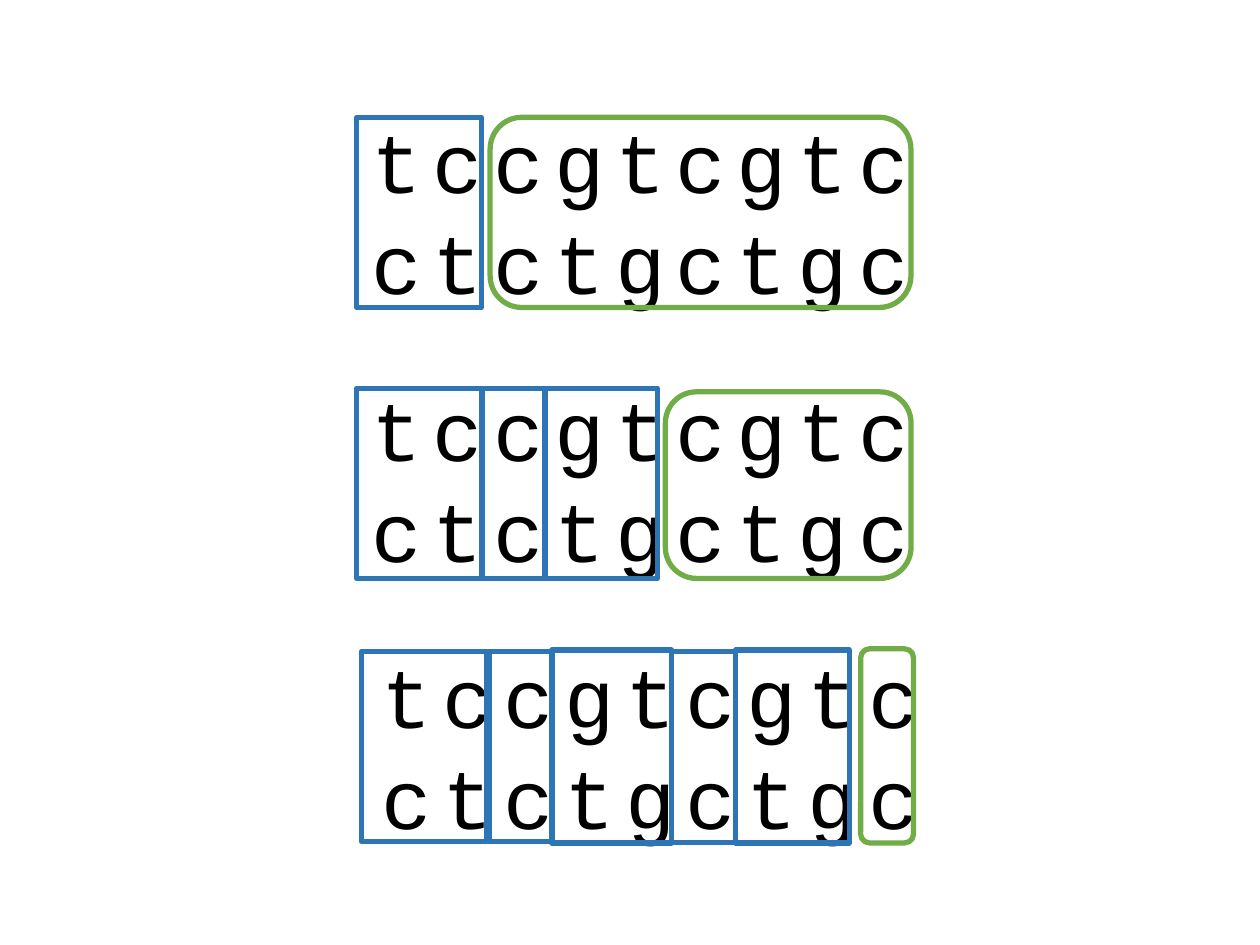
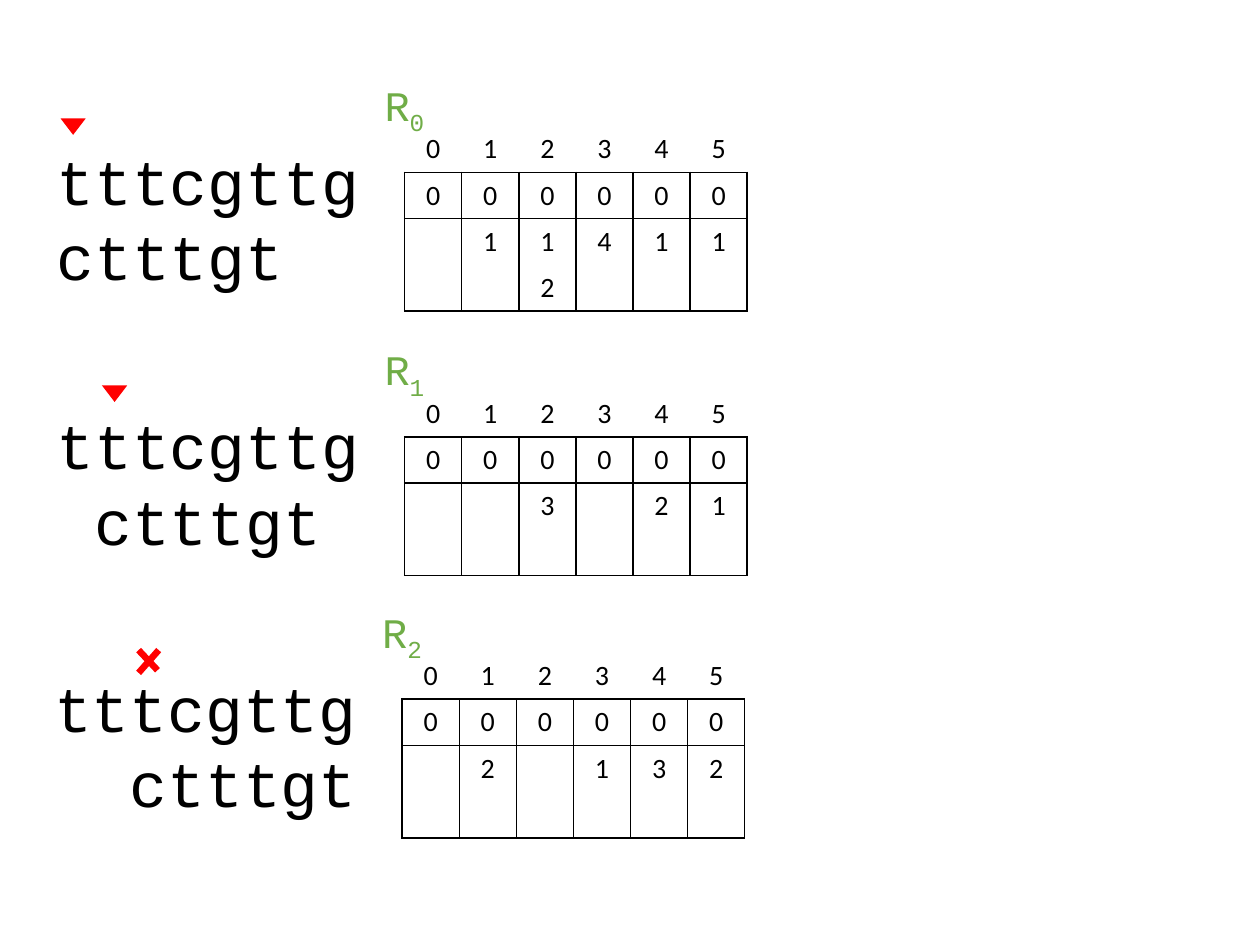
import pptx
import pptx.dml.color
import pptx.enum.shapes
import pptx.enum.text
import pptx.oxml
import pptx.oxml.ns
import pptx.util

Pt = pptx.util.Pt
RGBColor = pptx.dml.color.RGBColor
Shapes = pptx.enum.shapes.MSO_SHAPE
Align = pptx.enum.text.PP_ALIGN
qn = pptx.oxml.ns.qn

BLACK = RGBColor(0x00, 0x00, 0x00)
BLUE = RGBColor(0x2E, 0x75, 0xB6)
GREEN = RGBColor(0x70, 0xAD, 0x47)
RED = RGBColor(0xFF, 0x00, 0x00)
MONO = "Courier New"
NO_STYLE = "{2D5ABB26-0587-4C30-8999-92F81FD0307C}"


def add_run(paragraph, text, size, color, font=MONO):
    run = paragraph.add_run()
    run.text = text
    run.font.size = Pt(size)
    run.font.name = font
    run.font.color.rgb = color
    return run


def add_text(slide, left, top, width, height, lines, size, color, align):
    shape = slide.shapes.add_textbox(Pt(left), Pt(top), Pt(width), Pt(height))
    frame = shape.text_frame
    frame.word_wrap = False
    frame.auto_size = pptx.enum.text.MSO_AUTO_SIZE.SHAPE_TO_FIT_TEXT
    for index, line in enumerate(lines):
        paragraph = frame.add_paragraph() if index else frame.paragraphs[0]
        paragraph.alignment = align
        add_run(paragraph, line, size, color)
    return frame.paragraphs


presentation = pptx.Presentation()
presentation.slide_width = Pt(720)
presentation.slide_height = Pt(540)
blank_layout = presentation.slide_layouts[6]

# Slide 1: string pair split into blocks, step by step
slide = presentation.slides.add_slide(blank_layout)
for left, top in [(200.9, 59), (200.9, 212.4), (206.6, 365)]:
    for paragraph in add_text(slide, left, top, 330.5, 123.8, ["tccgtcgtc", "ctctgctgc"],
                              48, BLACK, Align.CENTER):
        paragraph.runs[0].font.element.set("spc", "600") if hasattr(
            paragraph.runs[0].font, "element") else paragraph.runs[0]._r.get_or_add_rPr().set("spc", "600")

# Blue: finished blocks; green: remaining part
finished_blocks = [
    (203.8, 67, 71.3, 108.7),
    (203.8, 221.8, 71.3, 108.7), (275.8, 221.8, 36, 108.7), (311, 221.8, 64.8, 108.7),
    (206.6, 372.2, 71.3, 108.7), (279.4, 372.2, 36, 108.7), (315.4, 371.5, 68.4, 110.2),
    (383.8, 372.2, 36.7, 109.4), (420.5, 371.5, 64.8, 110.2),
]
remaining_parts = [
    (280.1, 67, 240.5, 108.7), (380.2, 223.9, 140.4, 106.6), (491.8, 370.8, 30.2, 110.9),
]
for preset, color, boxes in [(Shapes.RECTANGLE, BLUE, finished_blocks),
                             (Shapes.ROUNDED_RECTANGLE, GREEN, remaining_parts)]:
    for box in boxes:
        shape = slide.shapes.add_shape(preset, *map(Pt, box))
        shape.shadow.inherit = False
        shape.fill.background()
        shape.line.color.rgb = color
        shape.line.width = Pt(3)

# Slide 2: alignments with their tables
slide = presentation.slides.add_slide(blank_layout)
COLUMN, ROW = 32.64, 26.46
CHARACTER = 21.6
HEADER, ZEROS = "012345", "000000"
borders_by_row = [[], ["lnL", "lnR", "lnT", "lnB"], ["lnL", "lnR"], ["lnL", "lnR", "lnB"]]
steps = [  # left, table top, entries below the zeros
    (25.2, 72, [["", "1", "1", "4", "1", "1"], ["", "", "2", "", "", ""]]),
    (25.2, 223.2, [["", "", "3", "", "2", "1"], [""] * 6]),
    (23.8, 373, [["", "2", "", "1", "3", "2"], [""] * 6]),
]
for shift, (left, top, entries) in enumerate(steps):
    # String pair, the second one shifted by whole characters
    paragraphs = add_text(slide, left, top + 5.8, 189.4, 94.3, ["tttcgttg", "ctttgt"],
                          36, BLACK, Align.LEFT)
    properties = paragraphs[1]._p.get_or_add_pPr()
    properties.set("marL", str(Pt(shift * CHARACTER)))
    properties.set("indent", "0")

    # Table
    graphic = slide.shapes.add_table(4, 6, Pt(left + 206), Pt(top), Pt(6 * COLUMN), Pt(4 * ROW))
    table = graphic.table
    table.first_row = table.horz_banding = False
    graphic.element.find(".//" + qn("a:tableStyleId")).text = NO_STYLE
    for column in table.columns:
        column.width = Pt(COLUMN)
    for row_index, values in enumerate([HEADER, ZEROS] + entries):
        table.rows[row_index].height = Pt(ROW)
        for column_index, value in enumerate(values):
            cell = table.cell(row_index, column_index)
            cell.margin_top = cell.margin_bottom = 0
            cell.vertical_anchor = pptx.enum.text.MSO_ANCHOR.MIDDLE
            cell_properties = cell._tc.get_or_add_tcPr()
            for side in borders_by_row[row_index]:
                cell_properties.append(pptx.oxml.parse_xml(
                    f'<a:{side} {pptx.oxml.ns.nsdecls("a")} w="12700"><a:solidFill>'
                    f'<a:srgbClr val="{BLACK}"/></a:solidFill></a:{side}>'))
            cell.fill.background()
            paragraph = cell.text_frame.paragraphs[0]
            paragraph.alignment = Align.CENTER
            if value:
                add_run(paragraph, value, 16, BLACK, "Calibri")

    # Table name with subscript
    label = add_text(slide, left + 186.5, top - 30.2, 38.9, 36, ["R"], 24, GREEN, Align.CENTER)[0]
    subscript = add_run(label, str(shift), 24, GREEN)
    subscript._r.get_or_add_rPr().set("baseline", "-25000")

# Red markers above the strings
for left, top in [(34.6, 67.7), (58.3, 220.3)]:
    marker = slide.shapes.add_shape(Shapes.FLOWCHART_MERGE, Pt(left), Pt(top), Pt(14.4), Pt(9.4))
    marker.shadow.inherit = False
    marker.fill.solid()
    marker.fill.fore_color.rgb = RED
    marker.line.fill.background()

# Red cross above the last pair
cross = slide.shapes.add_group_shape()
for ends in [(79.2, 371.5, 90, 383), (90.7, 371.5, 79.2, 384.5)]:
    stroke = cross.shapes.add_connector(pptx.enum.shapes.MSO_CONNECTOR.STRAIGHT, *map(Pt, ends))
    stroke.line.color.rgb = RED
    stroke.line.width = Pt(3.75)
    stroke.element.spPr.append(pptx.oxml.parse_xml(
        f'<a:effectLst {pptx.oxml.ns.nsdecls("a")}/>'))

presentation.save("out.pptx")
